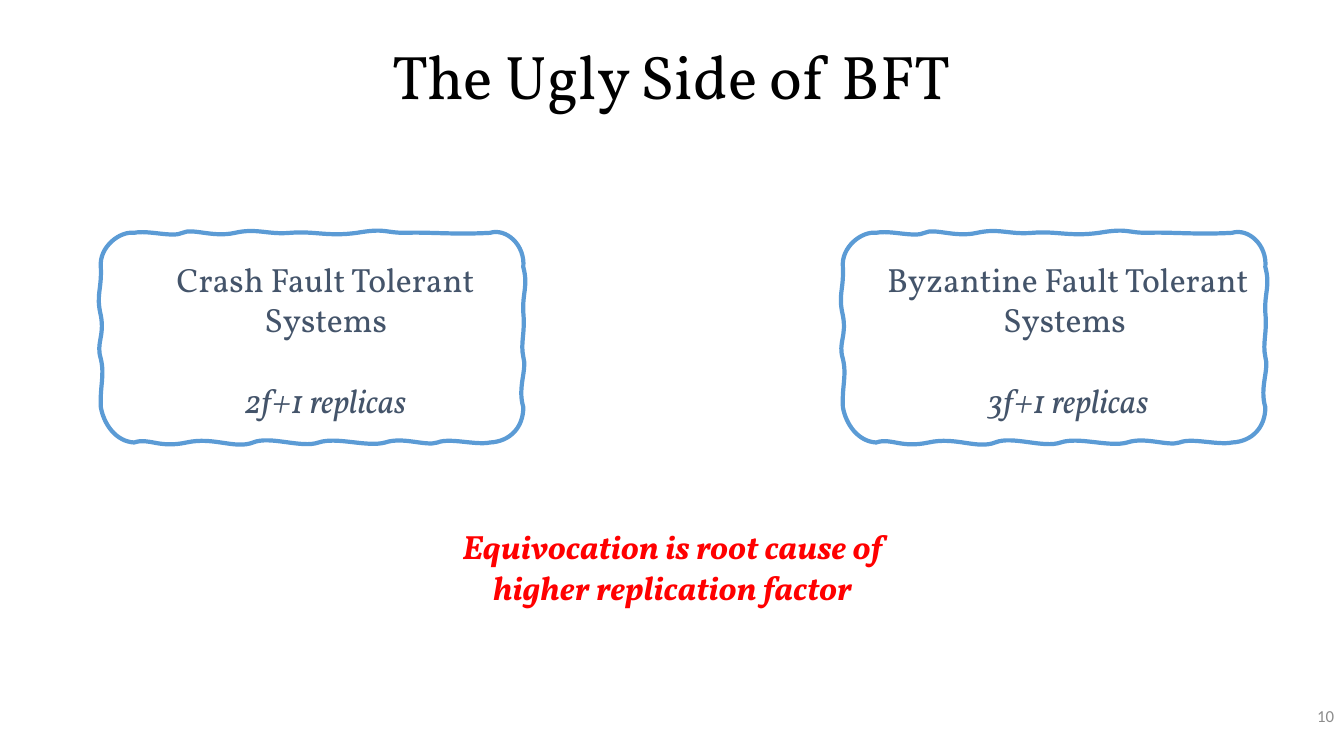
"""Builds the slide comparing replica counts of crash and Byzantine fault tolerant systems."""
from lxml.etree import SubElement
from pptx import Presentation
from pptx.dml.color import RGBColor
from pptx.enum.text import MSO_ANCHOR, PP_ALIGN
from pptx.oxml.ns import qn
from pptx.util import Inches, Pt

WIDTH, HEIGHT = 13.33, 7.5
OUTLINE_TOP = 2.31
OUTLINE_CURVES = [
    (-0.02, 0.14, 0.19, -0.02, 0.33, 0), (0.47, -0.03, 0.71, 0.05, 0.81, 0),
    (0.91, -0.05, 1.11, 0.05, 1.33, 0), (1.55, -0.05, 1.65, 0.02, 1.88, 0),
    (2.12, -0.02, 2.25, 0.04, 2.54, 0), (2.83, -0.05, 2.81, 0, 3.02, 0),
    (3.24, -0.01, 3.5, 0.02, 3.86, 0), (4.02, -0.05, 4.21, 0.12, 4.19, 0.34),
    (4.24, 0.53, 4.18, 0.59, 4.19, 0.79), (4.21, 1, 4.16, 1.09, 4.19, 1.23),
    (4.23, 1.36, 4.13, 1.53, 4.19, 1.73), (4.19, 1.93, 4.06, 2.07, 3.86, 2.08),
    (3.72, 2.11, 3.46, 2.03, 3.34, 2.08), (3.22, 2.12, 3, 2.02, 2.82, 2.08),
    (2.64, 2.13, 2.34, 2.02, 2.16, 2.08), (1.99, 2.14, 1.68, 2.01, 1.51, 2.08),
    (1.33, 2.15, 1.12, 2.02, 0.85, 2.08), (0.57, 2.14, 0.48, 2.03, 0.33, 2.08),
    (0.15, 2.07, 0.03, 1.9, 0, 1.73), (-0.01, 1.51, 0.04, 1.42, 0, 1.25),
    (-0.05, 1.09, 0.04, 1.03, 0, 0.82), (-0.05, 0.61, 0.01, 0.57, 0, 0.34),
]


def color(hex_string):
    return RGBColor.from_string(hex_string)


def write(shape, lines, size, hex_color, font="Vollkorn",
          align=PP_ALIGN.CENTER, anchor=MSO_ANCHOR.TOP, bold=False):
    frame = shape.text_frame
    frame.word_wrap = True
    frame.vertical_anchor = anchor
    for index, (text, italic) in enumerate(lines):
        paragraph = frame.add_paragraph() if index else frame.paragraphs[0]
        paragraph.alignment = align
        if index:
            paragraph.space_before = Pt(29)
        run = paragraph.add_run()
        run.text = text
        run.font.name = font
        run.font.size = Pt(size)
        run.font.bold = bold
        run.font.italic = italic
        run.font.color.rgb = color(hex_color)


presentation = Presentation()
presentation.slide_width = Inches(WIDTH)
presentation.slide_height = Inches(HEIGHT)
slide = presentation.slides.add_slide(presentation.slide_layouts[5])
shapes = slide.shapes

systems = [
    (1, "Crash Fault Tolerant Systems", "2f+1 replicas"),
    (8.36, "Byzantine Fault Tolerant Systems ", "3f+1 replicas"),
]
for left, name, replicas in systems:
    group = shapes.add_group_shape()
    label = group.shapes.add_textbox(
        Inches(left + 0.13), Inches(2.52), Inches(4.2), Inches(1.72))
    write(label, [(name, False), (replicas, True)], 24, "44546A")

    anchors = [(Inches(left + curve[4]), Inches(OUTLINE_TOP + curve[5]))
               for curve in OUTLINE_CURVES]
    builder = group.shapes.build_freeform(*anchors[-1])
    builder.add_line_segments(anchors, close=True)
    outline = builder.convert_to_shape()
    segments = list(outline._element.iter(qn("a:lnTo")))
    for segment, curve in zip(segments, OUTLINE_CURVES):
        bezier = segment.getparent().makeelement(qn("a:cubicBezTo"))
        for x, y in zip(curve[::2], curve[1::2]):
            SubElement(bezier, qn("a:pt"), x=str(Inches(x)), y=str(Inches(y)))
        segment.getparent().replace(segment, bezier)
    outline.shadow.inherit = False
    outline.fill.background()
    outline.line.color.rgb = color("5B9BD5")
    outline.line.width = Pt(3)

conclusion = shapes.add_textbox(Inches(4.01), Inches(5.17), Inches(5.32), Inches(0.91))
write(conclusion, [("Equivocation is root cause of higher replication factor", True)],
      24, "FF0000", bold=True)

title = shapes.title
title.left, title.top = 0, Inches(0.4)
title.width, title.height = Inches(WIDTH), Inches(0.77)
write(title, [("The Ugly Side of BFT", False)], 44, "000000", anchor=MSO_ANCHOR.MIDDLE)
title.text_frame.paragraphs[0].line_spacing = 0.9

page_number = shapes.add_textbox(
    Inches(WIDTH - 1.7), Inches(6.9), Inches(1.7), Inches(0.4))
write(page_number, [("10", False)], 12, "8C8C8C", font="Calibri",
      align=PP_ALIGN.RIGHT, anchor=MSO_ANCHOR.MIDDLE)

presentation.save("out.pptx")
